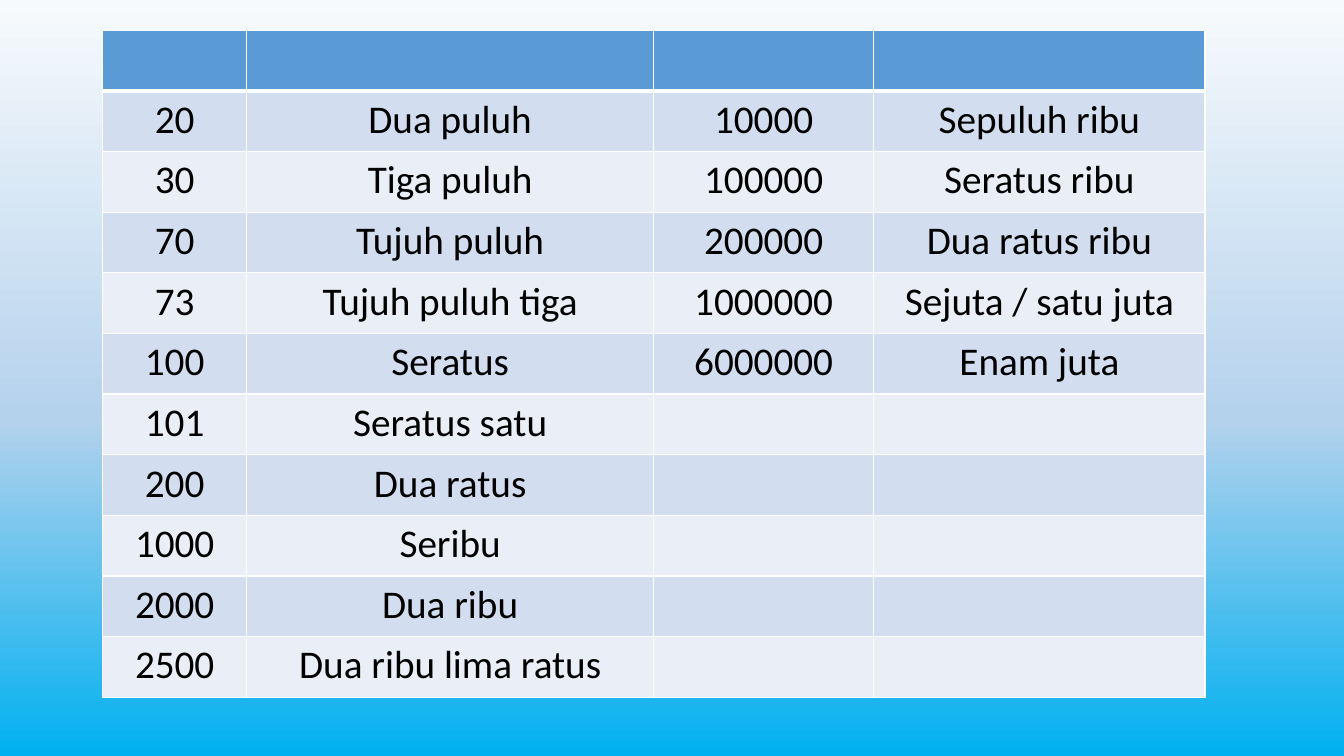
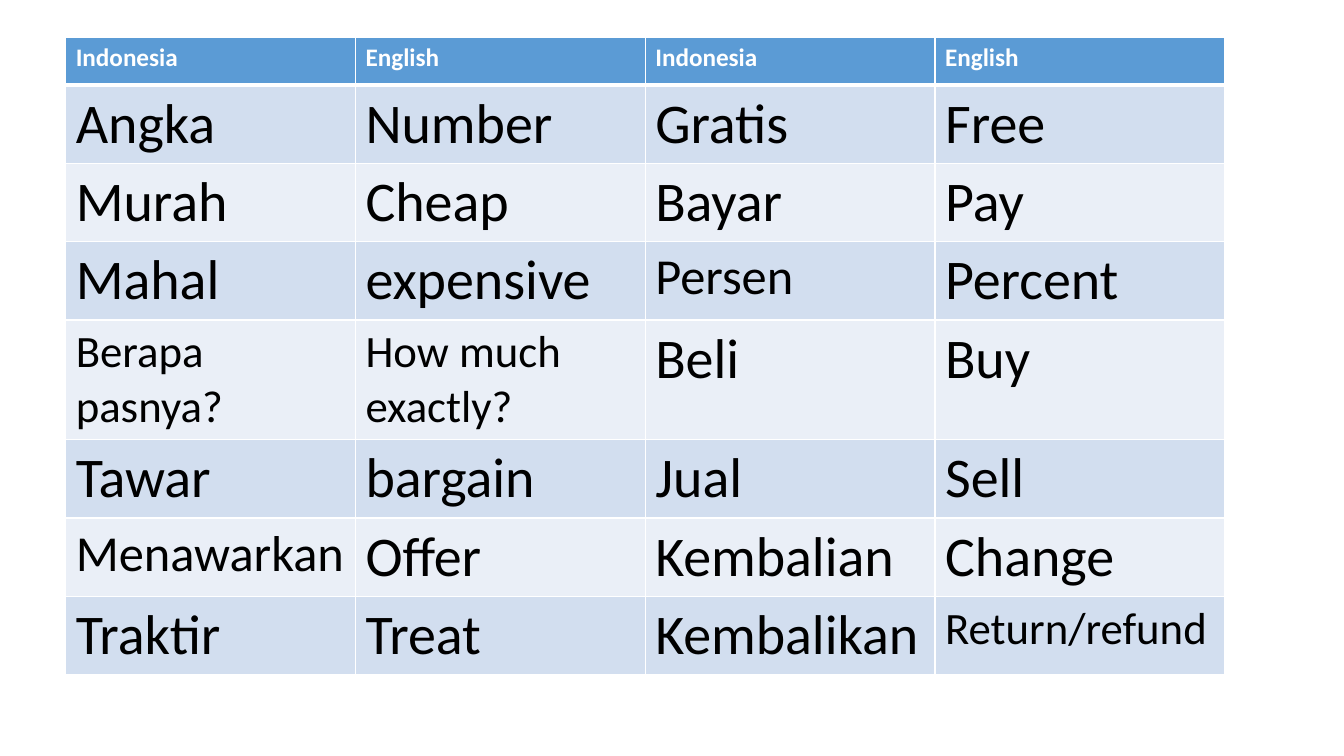
from copy import deepcopy

from lxml import etree
from pptx import Presentation
from pptx.dml.color import RGBColor
from pptx.enum import text
from pptx.oxml import ns
from pptx.util import Pt

FONT = "Calibri"
WHITE = "FFFFFF"
BLACK = "000000"
HEADER_FILL = "5B9BD5"
BAND_FILLS = ("D2DEEF", "EAEFF7")
SKY_STOPS = ((0, "F7FAFD"), (0.55, "B5D2EC"), (1, "00B0F0"))

NUMBER_ROWS = [
    ("", "", "", ""),
    ("20", "Dua puluh", "10000", "Sepuluh ribu"),
    ("30", "Tiga puluh", "100000", "Seratus ribu"),
    ("70", "Tujuh puluh", "200000", "Dua ratus ribu"),
    ("73", "Tujuh puluh tiga", "1000000", "Sejuta / satu juta"),
    ("100", "Seratus", "6000000", "Enam juta"),
    ("101", "Seratus satu", "", ""),
    ("200", "Dua ratus", "", ""),
    ("1000", "Seribu", "", ""),
    ("2000", "Dua ribu", "", ""),
    ("2500", "Dua ribu lima ratus", "", ""),
]
VOCABULARY_ROWS = [
    ("Indonesia", "English", "Indonesia", "English"),
    ("Angka", "Number", "Gratis", "Free"),
    ("Murah", "Cheap", "Bayar", "Pay"),
    ("Mahal", "expensive", "Persen", "Percent"),
    ("Berapa pasnya?", "How much exactly?", "Beli", "Buy"),
    ("Tawar", "bargain", "Jual", "Sell"),
    ("Menawarkan", "Offer", "Kembalian", "Change"),
    ("Traktir", "Treat", "Kembalikan", "Return/refund"),
]
SMALLER_WORDS = {
    "Persen": 36,
    "Menawarkan": 36,
    "Berapa pasnya?": 32,
    "How much exactly?": 32,
    "Return/refund": 32,
}


def rgb(value):
    """Turn a hex string into a colour."""
    return RGBColor.from_string(value)


def write_text(frame, content, size=18, color=BLACK, bold=False, align=text.PP_ALIGN.LEFT):
    """Write one formatted paragraph into a text frame."""
    paragraph = frame.paragraphs[0]
    paragraph.alignment = align
    if content:
        run = paragraph.add_run()
        run.text = content
        run.font.name = FONT
        run.font.size = Pt(size)
        run.font.bold = bold
        run.font.color.rgb = rgb(color)


def set_borders(cell, **widths):
    """Draw white borders of the given widths on the sides L, R, T and B."""
    properties = cell._tc.get_or_add_tcPr()
    for index, side in enumerate("LRTB"):
        line = etree.Element(ns.qn(f"a:ln{side}"), w=str(Pt(widths[side])))
        fill = etree.SubElement(line, ns.qn("a:solidFill"))
        etree.SubElement(fill, ns.qn("a:srgbClr"), val=WHITE)
        properties.insert(index, line)


def add_banded_table(slide, rows, left, top, widths, heights, size, align, smaller=None):
    """Add a table with a blue header and two alternating row fills."""
    smaller = smaller or {}
    table = slide.shapes.add_table(
        len(rows), len(widths), Pt(left), Pt(top), Pt(sum(widths)), Pt(sum(heights))
    ).table
    for column, width in zip(table.columns, widths):
        column.width = Pt(width)
    for row_index, (row, height) in enumerate(zip(rows, heights)):
        table.rows[row_index].height = Pt(height)
        header = row_index == 0
        for column_index, content in enumerate(row):
            cell = table.cell(row_index, column_index)
            cell.fill.solid()
            cell.fill.fore_color.rgb = rgb(HEADER_FILL if header else BAND_FILLS[(row_index - 1) % 2])
            set_borders(cell, L=1, R=1, T=3 if row_index == 1 else 1, B=3 if header else 1)
            write_text(
                cell.text_frame,
                content,
                size=18 if header else smaller.get(content, size),
                color=WHITE if header else BLACK,
                bold=header,
                align=align,
            )


def set_gradient(slide, stops):
    """Fill the background from top to bottom with the given stops."""
    fill = slide.background.fill
    fill.gradient()
    fill.gradient_angle = 270
    stop_list = slide.element.xpath(".//a:gsLst")[0]
    while len(stop_list) < len(stops):
        stop_list.append(deepcopy(stop_list[0]))
    for stop, (position, color) in zip(fill.gradient_stops, stops):
        stop.position = position
        stop.color.rgb = rgb(color)


def main():
    """Build the number and vocabulary slides."""
    presentation = Presentation()
    presentation.slide_width, presentation.slide_height = Pt(960), Pt(540)
    blank = presentation.slide_layouts[6]

    numbers = presentation.slides.add_slide(blank)
    set_gradient(numbers, SKY_STOPS)
    add_banded_table(
        numbers, NUMBER_ROWS, 73.4, 21.6, [102.8, 290.7, 157.2, 236.7],
        [43.33] * len(NUMBER_ROWS), 28, text.PP_ALIGN.CENTER,
    )

    vocabulary = presentation.slides.add_slide(blank)
    add_banded_table(
        vocabulary, VOCABULARY_ROWS, 46.9, 26.9, [207] * 4,
        [33.8] + [55.7] * 3 + [85.4] + [55.7] * 3, 40, text.PP_ALIGN.LEFT, SMALLER_WORDS,
    )
    presentation.save("out.pptx")


if __name__ == "__main__":
    main()
